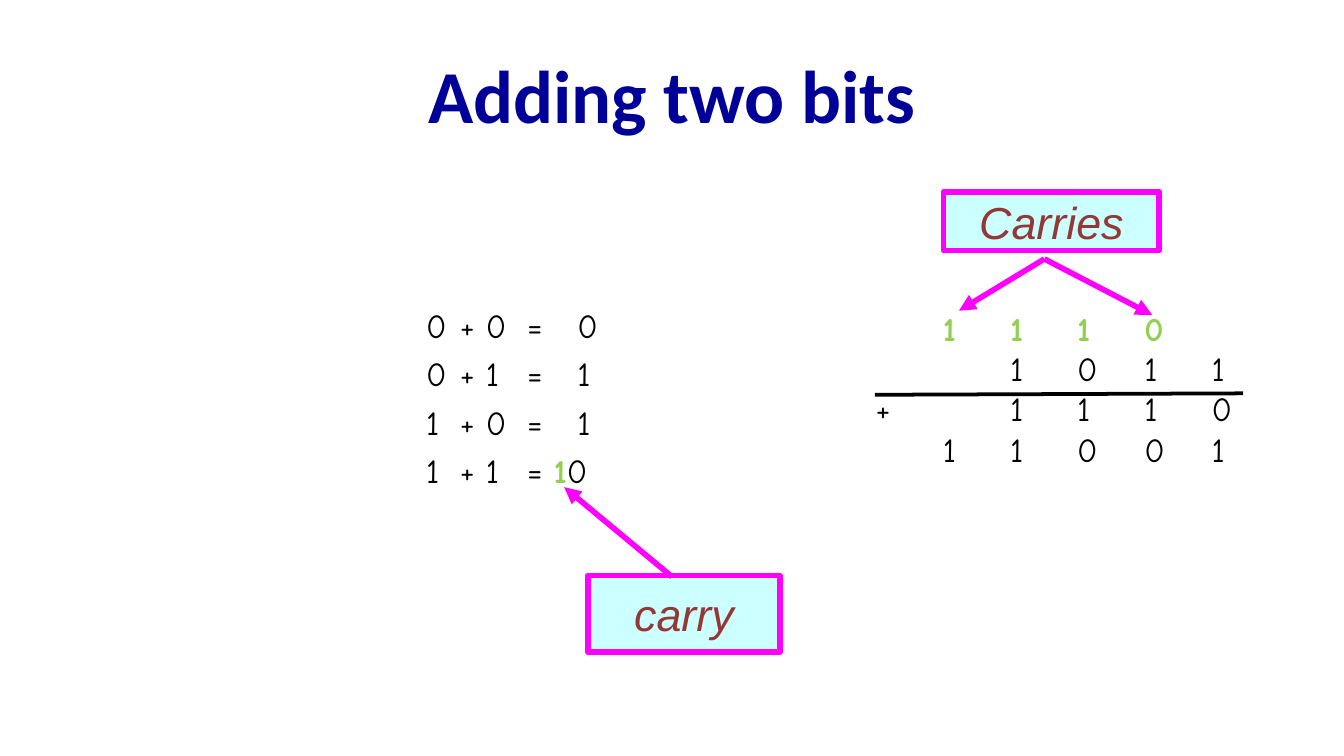
from dataclasses import dataclass

from lxml import etree
from pptx import Presentation
from pptx.dml.color import RGBColor
from pptx.enum.shapes import MSO_CONNECTOR, MSO_SHAPE
from pptx.enum.text import MSO_ANCHOR, PP_ALIGN
from pptx.oxml.ns import qn
from pptx.util import Pt

EMU_PER_PX = 9525
LEFT, CENTER = PP_ALIGN.LEFT, PP_ALIGN.CENTER
MIDDLE = MSO_ANCHOR.MIDDLE
RECTANGLE = MSO_SHAPE.RECTANGLE
STRAIGHT = MSO_CONNECTOR.STRAIGHT
TITLE_ONLY = 5


@dataclass(frozen=True)
class Theme:
    title: str = "000099"
    ink: str = "000000"
    carry: str = "92D050"
    label: str = "953735"
    label_fill: str = "CCFFFF"
    accent: str = "FF00FF"
    title_font: str = "Calibri"
    digit_font: str = "Comic Neue"
    label_font: str = "Arial"
    title_size: int = 40
    digit_size: int = 18
    label_size: int = 24
    accent_width: int = 3
    rule_width: int = 2


THEME = Theme()


def px(length):
    return round(length * EMU_PER_PX)


def rgb(value):
    return RGBColor.from_string(value)


def add_run(paragraph, text, *, font, size, color, bold=False, italic=False):
    run = paragraph.add_run()
    run.text = text
    run.font.name, run.font.size = font, Pt(size)
    run.font.color.rgb = rgb(color)
    run.font.bold, run.font.italic = bold, italic


def add_digits(paragraph, text, carried=False):
    add_run(paragraph, text, font=THEME.digit_font, size=THEME.digit_size,
            color=THEME.carry if carried else THEME.ink, bold=carried)


def set_tabs(paragraph, stops):
    properties = paragraph._p.get_or_add_pPr()
    tab_list = etree.SubElement(properties, qn("a:tabLst"))
    for stop in stops:
        etree.SubElement(tab_list, qn("a:tab"), pos=str(px(stop)), algn="l")


def add_rows(shapes, box, rows, stops, spacing=1.0):
    """Write rows of (text, carried) pieces; spacing applies after the first row."""
    frame = shapes.add_textbox(*map(px, box)).text_frame
    frame.word_wrap = True
    frame.margin_right = 0
    for index, row in enumerate(rows):
        paragraph = frame.add_paragraph() if index else frame.paragraphs[0]
        paragraph.alignment = LEFT
        paragraph.line_spacing = spacing if index else 1.0
        set_tabs(paragraph, stops)
        for text, carried in row:
            add_digits(paragraph, text, carried)


def add_line(shapes, start, end, color, width, arrow=False):
    line = shapes.add_connector(STRAIGHT, *map(px, (*start, *end)))
    line.line.color.rgb = rgb(color)
    line.line.width = Pt(width)
    if arrow:
        etree.SubElement(line.line._get_or_add_ln(), qn("a:tailEnd"), type="triangle")
    etree.SubElement(line._element.spPr, qn("a:effectLst"))


def add_callout(shapes, box, text, origin, targets):
    """Draw a label and its arrows; origin and targets are offsets from the box."""
    left, top = box[:2]
    label = shapes.add_shape(RECTANGLE, *map(px, box))
    label.shadow.inherit = False
    label.fill.solid()
    label.fill.fore_color.rgb = rgb(THEME.label_fill)
    label.line.color.rgb = rgb(THEME.accent)
    label.line.width = Pt(THEME.accent_width)
    frame = label.text_frame
    frame.vertical_anchor = MIDDLE
    frame.word_wrap = False
    paragraph = frame.paragraphs[0]
    paragraph.alignment = CENTER
    add_run(paragraph, text, font=THEME.label_font, size=THEME.label_size,
            color=THEME.label, italic=True)
    start = (left + origin[0], top + origin[1])
    for across, down in targets:
        add_line(shapes, start, (left + across, top + down),
                 THEME.accent, THEME.accent_width, arrow=True)


def add_title(slide, box, text):
    title = slide.shapes.title
    title.left, title.top, title.width, title.height = map(px, box)
    title.text_frame.vertical_anchor = MIDDLE
    paragraph = title.text_frame.paragraphs[0]
    paragraph.alignment = CENTER
    add_run(paragraph, text, font=THEME.title_font, size=THEME.title_size,
            color=THEME.title, bold=True)


def add_bit_sums(slide, box):
    rows = [[(f"{first}\t+ {second}\t=\t{first + second}", False)]
            for first, second in ((0, 0), (0, 1), (1, 0))]
    rows.append([("1\t+ 1\t= ", False), ("1", True), ("0", False)])
    add_rows(slide.shapes, box, rows, stops=(24, 72, 108), spacing=1.2)


def add_column_sum(slide, box):
    left, top, width, _ = box
    shapes = slide.shapes.add_group_shape().shapes
    rows = [
        [("\t1\t1\t1\t0", True)],
        [("\t\t1\t0\t1\t1", False)],
        [("+\t\t1\t1\t1\t0", False)],
        [("\t1\t1\t0\t0\t1", False)],
    ]
    add_rows(shapes, box, rows, stops=range(48, width, 48))
    add_line(shapes, (left + 9, top + 67), (left + 272, top + 66),
             THEME.ink, THEME.rule_width)


def main():
    presentation = Presentation()
    presentation.slide_width, presentation.slide_height = px(960), px(540)
    slide = presentation.slides.add_slide(presentation.slide_layouts[TITLE_ONLY])
    add_title(slide, (48, 22, 864, 90), "Adding two bits")
    add_bit_sums(slide, (295, 213, 142, 143))
    add_callout(slide.shapes, (420, 411, 137, 55), "carry",
                origin=(60, 1), targets=[(-17, -63)])
    add_column_sum(slide, (616, 215, 276, 126))
    add_callout(slide.shapes, (674, 137, 154, 42), "Carries",
                origin=(72, 48), targets=[(11, 85), (149, 88)])
    presentation.save("out.pptx")


if __name__ == "__main__":
    main()
